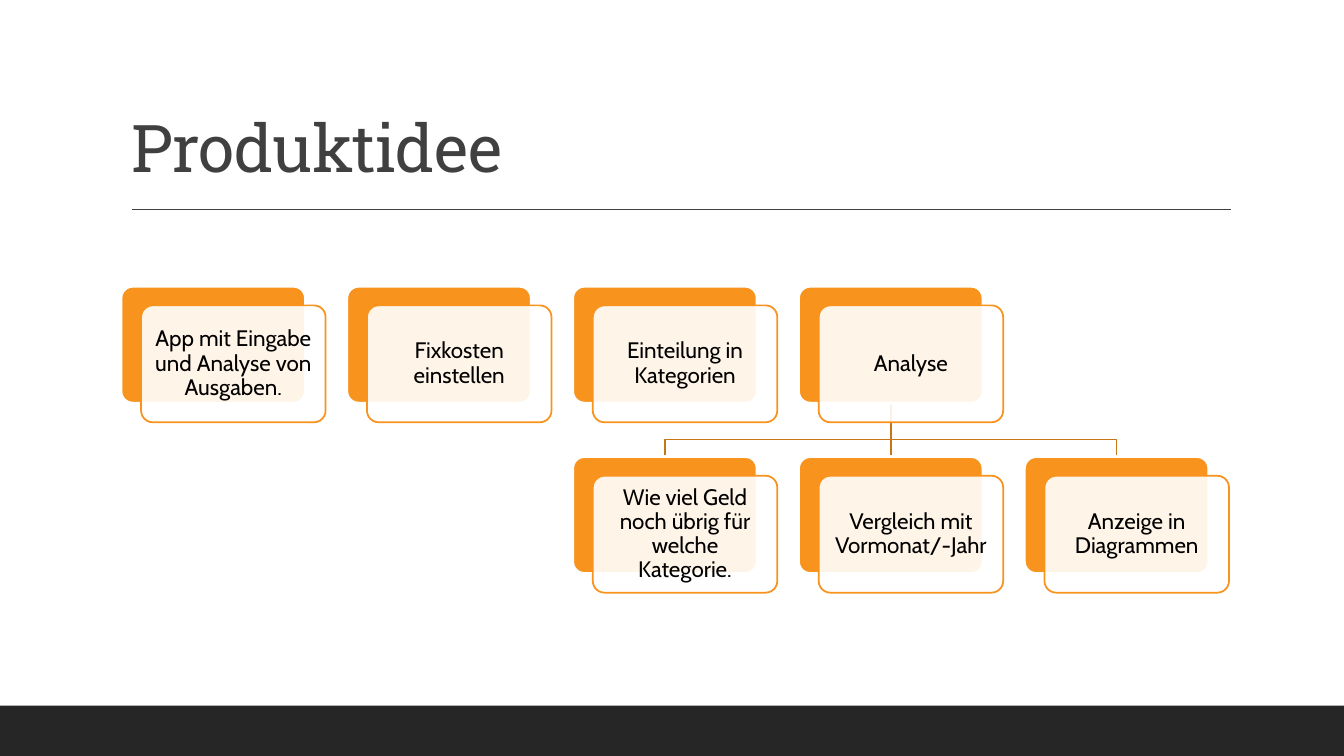
from lxml import etree
from pptx import Presentation
from pptx.dml.color import RGBColor
from pptx.enum import shapes, text
from pptx.oxml.ns import qn
from pptx.util import Inches, Pt

TITLE = "Produktidee"
CARDS = [
    ("App mit Eingabe und Analyse von Ausgaben.", 0, 0),
    ("Fixkosten einstellen", 1, 0),
    ("Einteilung in Kategorien", 2, 0),
    ("Analyse", 3, 0),
    ("Wie viel Geld noch übrig für welche Kategorie.", 2, 1),
    ("Vergleich mit Vormonat/-Jahr", 3, 1),
    ("Anzeige in Diagrammen", 4, 1),
]
COLORS = {
    "footer": "262626",
    "title": "404040",
    "accent": "F8931D",
    "branch": "C77617",
    "white": "FFFFFF",
    "black": "000000",
}
LEFT, TOP = 1.2, 2.84
COLUMN_STEP, ROW_STEP = 2.24, 1.69
CARD_WIDTH, CARD_HEIGHT = 1.83, 1.16
OFFSET_X, OFFSET_Y = 0.2, 0.19
PARENT_COLUMN = 3
BRANCH_TOP = TOP + CARD_HEIGHT
BRANCH_MIDDLE, BRANCH_BOTTOM = 4.36, TOP + ROW_STEP


def color(name):
    return RGBColor.from_string(COLORS[name])


def style_line(shape, name, width):
    shape.line.color.rgb = color(name)
    shape.line.width = Pt(width)


def center_x(column):
    return LEFT + column * COLUMN_STEP + CARD_WIDTH / 2


def add_box(slide, kind, left, top, width, height, fill):
    shape = slide.shapes.add_shape(
        kind, Inches(left), Inches(top), Inches(width), Inches(height))
    shape.shadow.inherit = False
    shape.fill.solid()
    shape.fill.fore_color.rgb = color(fill)
    return shape


def add_line(slide, start, end, name, width):
    line = slide.shapes.add_connector(
        shapes.MSO_CONNECTOR.STRAIGHT, *map(Inches, start + end))
    style_line(line, name, width)
    etree.SubElement(line._element.spPr, qn("a:effectLst"))
    return line


def add_branch(slide, column):
    start, end = center_x(PARENT_COLUMN), center_x(column)
    builder = slide.shapes.build_freeform(Inches(start), Inches(BRANCH_TOP))
    corners = [(start, BRANCH_MIDDLE), (end, BRANCH_MIDDLE), (end, BRANCH_BOTTOM)]
    builder.add_line_segments(
        [(Inches(x), Inches(y)) for x, y in corners], close=False)
    branch = builder.convert_to_shape()
    branch.shadow.inherit = False
    branch.fill.background()
    style_line(branch, "branch", 1.25)


def add_card(slide, label, column, row):
    left, top = LEFT + column * COLUMN_STEP, TOP + row * ROW_STEP
    rounded = shapes.MSO_SHAPE.ROUNDED_RECTANGLE
    back = add_box(slide, rounded, left, top, CARD_WIDTH, CARD_HEIGHT, "accent")
    style_line(back, "white", 2)
    front = add_box(slide, rounded, left + OFFSET_X, top + OFFSET_Y,
                    CARD_WIDTH, CARD_HEIGHT, "white")
    style_line(front, "accent", 1.25)
    back.adjustments[0] = front.adjustments[0] = 0.1
    fill_color = front._element.spPr.find(qn("a:solidFill"))[0]
    etree.SubElement(fill_color, qn("a:alpha"), val="90000")

    frame = front.text_frame
    frame.word_wrap = True
    frame.vertical_anchor = text.MSO_ANCHOR.MIDDLE
    frame.margin_left = frame.margin_right = Inches(0.07)
    frame.margin_top = frame.margin_bottom = Inches(0.07)
    frame.text = label
    paragraph = frame.paragraphs[0]
    paragraph.alignment = text.PP_ALIGN.CENTER
    paragraph.line_spacing = 0.9
    paragraph.font.size = Pt(16)
    paragraph.font.name = "Cabin"
    paragraph.font.color.rgb = color("black")
    return back


def add_title(slide):
    title = slide.shapes.title
    title.left, title.top = Inches(1.2), Inches(0.31)
    title.width, title.height = Inches(11), Inches(1.59)
    title.text_frame.text = TITLE
    title.text_frame.vertical_anchor = text.MSO_ANCHOR.BOTTOM
    paragraph = title.text_frame.paragraphs[0]
    paragraph.alignment = text.PP_ALIGN.LEFT
    paragraph.line_spacing = 0.9
    paragraph.font.size = Pt(47)
    paragraph.font.name = "Roboto Slab"
    paragraph.font.color.rgb = color("title")
    paragraph.runs[0]._r.get_or_add_rPr().set("spc", "-50")


def main():
    presentation = Presentation()
    presentation.slide_width, presentation.slide_height = Inches(13.33), Inches(7.5)
    slide = presentation.slides.add_slide(presentation.slide_layouts[5])

    footer = add_box(slide, shapes.MSO_SHAPE.RECTANGLE, 0, 7, 13.33, 0.5, "footer")
    footer.line.fill.background()
    add_line(slide, (1.31, 2.08), (12.21, 2.08), "title", 1)
    add_title(slide)

    for column in (4, 2):
        add_branch(slide, column)
    middle = center_x(PARENT_COLUMN)
    stem = add_line(slide, (middle, BRANCH_TOP), (middle, BRANCH_BOTTOM), "branch", 1.25)

    backs = {(column, row): add_card(slide, label, column, row)
             for label, column, row in CARDS}
    stem.begin_connect(backs[PARENT_COLUMN, 0], 2)
    stem.end_connect(backs[PARENT_COLUMN, 1], 0)

    presentation.save("out.pptx")


if __name__ == "__main__":
    main()
